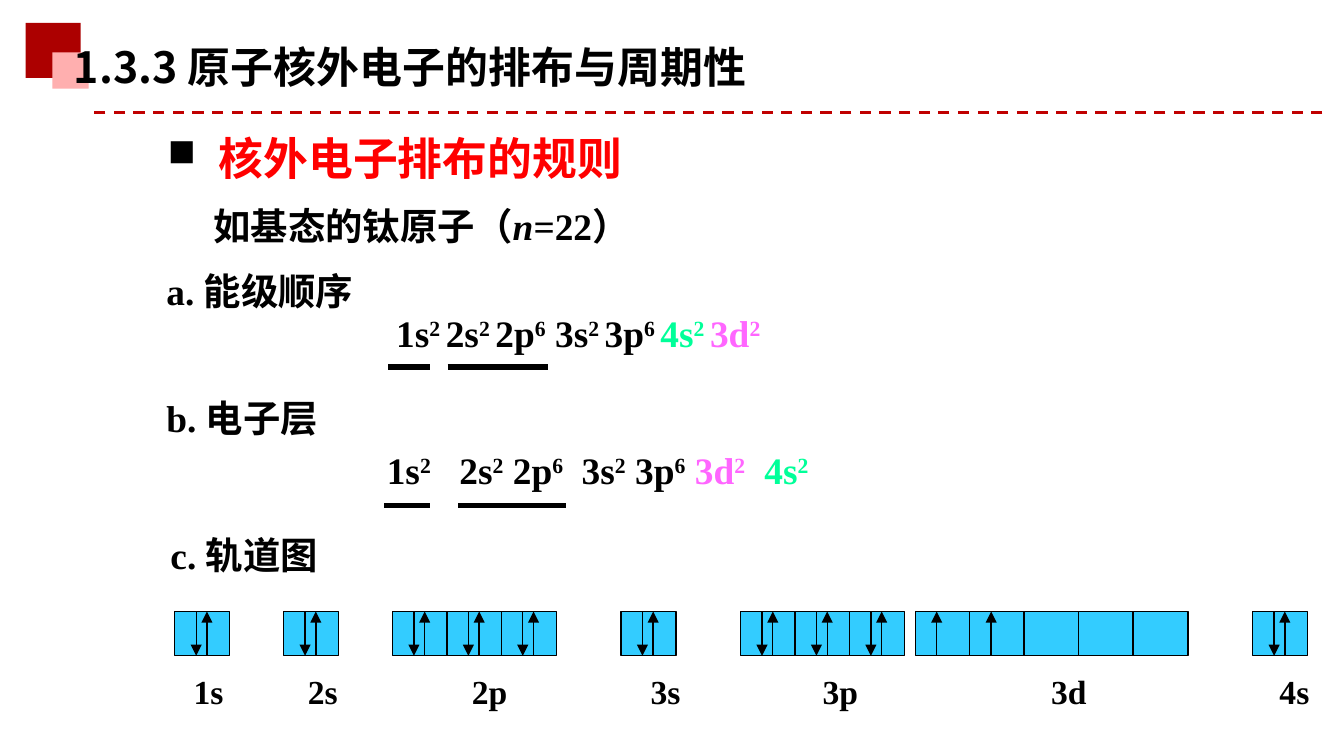
import pptx
import pptx.util
import pptx.dml.color
import pptx.enum.dml
import pptx.enum.shapes
import pptx.enum.text
import pptx.oxml
import pptx.oxml.ns

Inches, Pt = pptx.util.Inches, pptx.util.Pt
RGB = pptx.dml.color.RGBColor
BLACK = RGB(0x00, 0x00, 0x00)
RED = RGB(0xFF, 0x00, 0x00)
DARK_RED = RGB(0xAC, 0x00, 0x00)
PINK = RGB(0xFF, 0xAF, 0xAF)
RULE_RED = RGB(0xC0, 0x00, 0x00)
GREEN = RGB(0x00, 0xFF, 0x99)
MAGENTA = RGB(0xFF, 0x66, 0xFF)
CYAN = RGB(0x33, 0xCC, 0xFF)
SERIF, SANS = "Times New Roman", "Noto Sans CJK SC"
NS = pptx.oxml.ns.nsdecls("a")


def write(sp, box, runs, size=20, tabs=(), bullet=None):
    sp.left, sp.top, sp.width, sp.height = [Inches(v) for v in box]
    tf = sp.text_frame
    tf.word_wrap = True
    tf.auto_size = pptx.enum.text.MSO_AUTO_SIZE.SHAPE_TO_FIT_TEXT
    tf.vertical_anchor = pptx.enum.text.MSO_ANCHOR.TOP
    p = tf.paragraphs[0]
    p.alignment = pptx.enum.text.PP_ALIGN.LEFT
    pPr = p._p.get_or_add_pPr()
    if bullet:
        pPr.set("marL", str(Inches(0.38)))
        pPr.set("indent", str(-Inches(0.38)))
        pPr.append(pptx.oxml.parse_xml(f'<a:buClr {NS}><a:srgbClr val="{BLACK}"/></a:buClr>'))
        pPr.append(pptx.oxml.parse_xml(f'<a:buSzPct {NS} val="85000"/>'))
        pPr.append(pptx.oxml.parse_xml(f'<a:buChar {NS} char="{bullet}"/>'))
    if tabs:
        stops = "".join(f'<a:tab pos="{Inches(t)}" algn="l"/>' for t in tabs)
        pPr.append(pptx.oxml.parse_xml(f"<a:tabLst {NS}>{stops}</a:tabLst>"))
    for text, values in runs:
        r = p.add_run()
        r.text = text
        values = {"name": SERIF, "size": Pt(size), "bold": True, "color": BLACK, **values}
        r.font.color.rgb = values.pop("color")
        rPr = r._r.get_or_add_rPr()
        if values.pop("raised", False):
            rPr.set("baseline", "30000")
        for key, value in values.items():
            setattr(r.font, key, value)
        rPr.append(pptx.oxml.parse_xml(f'<a:ea {NS} typeface="{SANS}"/>'))
    return tf


def line(x1, y1, x2, y2, color, width, arrow=False):
    c = s.shapes.add_connector(pptx.enum.shapes.MSO_CONNECTOR.STRAIGHT,
                               Inches(x1), Inches(y1), Inches(x2), Inches(y2))
    c.line.color.rgb = color
    c.line.width = Pt(width)
    if arrow:
        c.line._get_or_add_ln().append(pptx.oxml.parse_xml(f'<a:tailEnd {NS} type="triangle"/>'))
    c._element.spPr.append(pptx.oxml.parse_xml(f"<a:effectLst {NS}/>"))
    return c


prs = pptx.Presentation()
prs.slide_width = Inches(10)
prs.slide_height = prs.slide_width * 9 // 16
s = prs.slides.add_slide(prs.slide_layouts[5])

CELL_W, CELL_H, PITCH, TOP = 0.41, 0.33, 0.405, 4.55
orbitals = [
    ("1s", 1.3, ["du"], 1.44),
    ("2s", 2.11, ["du"], 2.29),
    ("2p", 2.92, ["du"] * 3, 3.51),
    ("3s", 4.62, ["du"], 4.84),
    ("3p", 5.51, ["du"] * 3, 6.12),
    ("3d", 6.81, ["u", "u", "", "", ""], 7.82),
    ("4s", 9.32, ["du"], 9.52),
]
rects = [(0.19, 0.17, 0.41, 0.41, DARK_RED, False), (0.39, 0.39, 0.27, 0.27, PINK, False)]
rects += [(x + i * PITCH, TOP, CELL_W, CELL_H, CYAN, True)
          for name, x, cells, label_x in orbitals for i in range(len(cells))]
for x, y, w, h, color, outlined in rects:
    sp = s.shapes.add_shape(pptx.enum.shapes.MSO_SHAPE.RECTANGLE,
                            Inches(x), Inches(y), Inches(w), Inches(h))
    sp.shadow.inherit = False
    sp.fill.solid()
    sp.fill.fore_color.rgb = color
    if outlined:
        sp.line.color.rgb = BLACK
        sp.line.width = Pt(0.75)
    else:
        sp.line.fill.background()

for name, x, cells, label_x in orbitals:
    for i, spins in enumerate(cells):
        for j, spin in enumerate(spins):
            ax = x + i * PITCH + 0.16 + j * 0.08
            ends = (TOP, TOP + CELL_H) if spin == "d" else (TOP + CELL_H, TOP)
            line(ax, ends[0], ax, ends[1], BLACK, 0.75, arrow=True)

rule = line(9.84, 0.84, 0.7, 0.84, RULE_RED, 1.5)
rule.line.dash_style = pptx.enum.dml.MSO_LINE.DASH
for x1, x2, y in [(2.89, 3.2, 2.73), (3.33, 4.08, 2.73), (2.86, 3.2, 3.76), (3.41, 4.21, 3.76)]:
    line(x1, y, x2, y, BLACK, 3)

energy_order = [("1s", "2 ", BLACK), ("2s", "2 ", BLACK), ("2p", "6", BLACK), (" 3s", "2 ", BLACK),
                ("3p", "6 ", BLACK), ("4s", "2 ", GREEN), ("3d", "2", MAGENTA)]
shell_order = [("1s", "2", BLACK), ("\t2s", "2", BLACK), (" 2p", "6", BLACK), ("\t3s", "2", BLACK),
               (" 3p", "6", BLACK), (" 3d", "2", MAGENTA), ("\t4s", "2", GREEN)]
energy_runs, shell_runs = [
    [run for name, count, color in order
     for run in ((name, {"color": color}), (count, {"color": color, "raised": True}))]
    for order in (energy_order, shell_order)]

texts = [
    ((1.15, 0.92, 5.57, 0.51), [("核外电子排布的规则", {"name": SANS, "color": RED})],
     {"size": 24, "bullet": "■"}),
    ((1.49, 1.46, 6.53, 0.44),
     [("如基态的钛原子（", {}), ("n", {"italic": True}), ("=22）", {})], {}),
    ((1.14, 1.95, 3.47, 0.44), [("a. 能级顺序", {})], {}),
    ((2.85, 2.26, 3.07, 0.44), energy_runs, {}),
    ((1.14, 2.89, 2.44, 0.44), [("b. 电子层", {})], {}),
    ((2.78, 3.28, 4.1, 0.44), shell_runs, {"tabs": (0.54, 1.45, 2.81)}),
    ((1.17, 3.91, 5.35, 0.44), [("c. 轨道图", {})], {}),
]
for box, runs, options in texts:
    write(s.shapes.add_textbox(0, 0, 0, 0), box, runs, **options)

label_xs = [label_x for name, x, cells, label_x in orbitals]
labels = "\t".join(name for name, x, cells, label_x in orbitals)
tf = write(s.shapes.add_textbox(0, 0, 0, 0), (1.22, 4.94, 8.82, 0.4), [(labels, {})],
           size=18, tabs=[x - label_xs[0] for x in label_xs[1:]])
tf.margin_left = Inches(label_xs[0] - 1.22)

title = s.shapes.title
write(title, (0.45, 0.25, 6.06, 0.49),
      [("1.3.3 ", {"name": SANS}), ("原子核外电子的排布与周期性", {})], size=23)
s.shapes._spTree.append(title._element)

prs.save("out.pptx")
